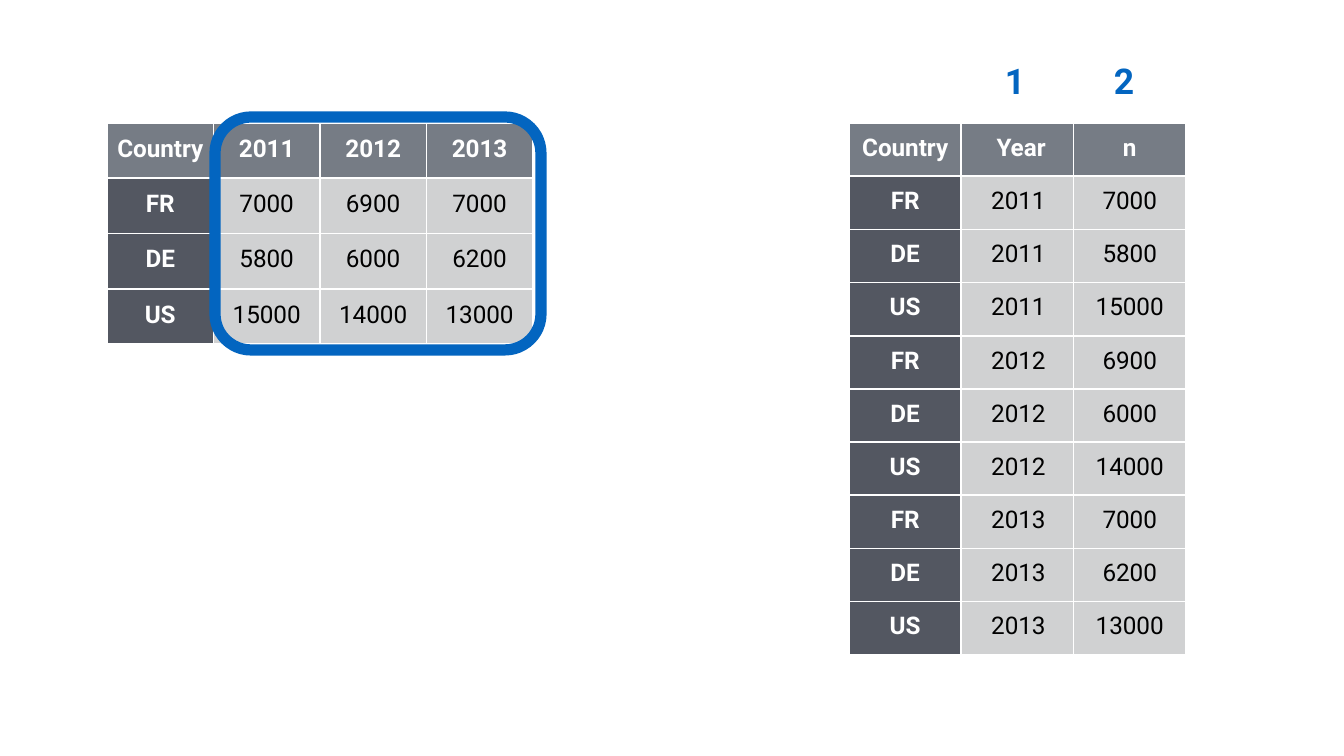
from lxml.etree import SubElement
from pptx import Presentation
from pptx.dml.color import RGBColor
from pptx.enum.shapes import MSO_SHAPE as Shape
from pptx.enum.text import MSO_ANCHOR as Anchor, PP_ALIGN as Align
from pptx.oxml.ns import qn
from pptx.util import Emu, Pt

SCALE = 914400 / 134.4
FONT = "Roboto"
WHITE, BLACK, BLUE = "FFFFFF", "000000", "0365C0"
HEADER_FILL, LABEL_FILL, VALUE_FILL = "767C85", "535761", "D0D1D2"

YEARS = ["2011", "2012", "2013"]
COUNTS = {
    "FR": ["7000", "6900", "7000"],
    "DE": ["5800", "6000", "6200"],
    "US": ["15000", "14000", "13000"],
}


def px(length):
    return Emu(round(length * SCALE))


def colour(value):
    return RGBColor.from_string(value)


def set_format(target, values):
    for name, value in values.items():
        setattr(target, name, value)


def write(paragraph, text, size, text_colour, bold, align):
    paragraph.alignment = align
    run = paragraph.add_run()
    run.text = text
    set_format(run.font, {"name": FONT, "size": Pt(size), "bold": bold})
    run.font.color.rgb = colour(text_colour)


def add_borders(cell):
    properties = cell._tc.get_or_add_tcPr()
    for side in ("a:lnL", "a:lnR", "a:lnT", "a:lnB"):
        line = SubElement(properties, qn(side), w=str(Pt(1)))
        fill = SubElement(line, qn("a:solidFill"))
        SubElement(fill, qn("a:srgbClr"), val=WHITE)


def fill_cell(cell, text, fill, bold, top_inset, right_inset):
    set_format(cell, {
        "margin_left": 0, "margin_top": px(top_inset),
        "margin_right": px(right_inset), "margin_bottom": 0,
        "vertical_anchor": Anchor.TOP,
    })
    add_borders(cell)
    cell.fill.solid()
    cell.fill.fore_color.rgb = colour(fill)
    write(cell.text_frame.paragraphs[0], text, 13, WHITE if bold else BLACK,
          bold, Align.RIGHT if right_inset else Align.CENTER)


def add_data_table(slide, rows, left, top, width, height, top_inset, right_insets=None):
    """right_insets maps each right-aligned column to its inset."""
    right_insets = right_insets or {}
    row_count, column_count = len(rows), len(rows[0])
    table = slide.shapes.add_table(
        row_count, column_count, px(left), px(top), px(width), px(height)).table
    for column in table.columns:
        column.width = px(width / column_count)
    for row in table.rows:
        row.height = px(height / row_count)
    for r, texts in enumerate(rows):
        for c, text in enumerate(texts):
            fill = HEADER_FILL if r == 0 else LABEL_FILL if c == 0 else VALUE_FILL
            fill_cell(table.cell(r, c), text, fill, fill != VALUE_FILL,
                      top_inset, right_insets.get(c, 0))


def add_frame(slide, left, top, width, height, radius):
    frame = slide.shapes.add_shape(
        Shape.ROUNDED_RECTANGLE, px(left), px(top), px(width), px(height))
    frame.adjustments[0] = radius / min(width, height)
    frame.shadow.inherit = False
    frame.fill.background()
    frame.line.color.rgb = colour(BLUE)
    frame.line.width = Pt(6)


def add_number(slide, text, left, top, width, height):
    text_frame = slide.shapes.add_textbox(
        px(left), px(top), px(width), px(height)).text_frame
    set_format(text_frame, {
        "word_wrap": True, "margin_left": 0, "margin_top": px(1),
        "margin_right": 0, "margin_bottom": 0,
    })
    write(text_frame.paragraphs[0], text, 19, BLUE, True, Align.LEFT)


def main():
    presentation = Presentation()
    set_format(presentation, {"slide_width": px(1344), "slide_height": px(756)})
    slide = presentation.slides.add_slide(presentation.slide_layouts[6])

    # Wide table: one column per year
    wide_rows = [["Country", *YEARS]]
    wide_rows += [[country, *counts] for country, counts in COUNTS.items()]
    add_data_table(slide, wide_rows, 107, 123, 426, 221, 12)

    # Long table: one row per year and country
    long_rows = [["Country", "Year", "n"]]
    long_rows += [[country, year, counts[i]]
                  for i, year in enumerate(YEARS)
                  for country, counts in COUNTS.items()]
    add_data_table(slide, long_rows, 849, 123, 337, 532, 11, {1: 28})

    # Frame round the year columns
    add_frame(slide, 215, 117, 326, 233, 36)

    # Numbers above the new columns
    for i, number in enumerate(("1", "2")):
        add_number(slide, number, 1005 + 109 * i, 58, 22, 46)

    presentation.save("out.pptx")


if __name__ == "__main__":
    main()
